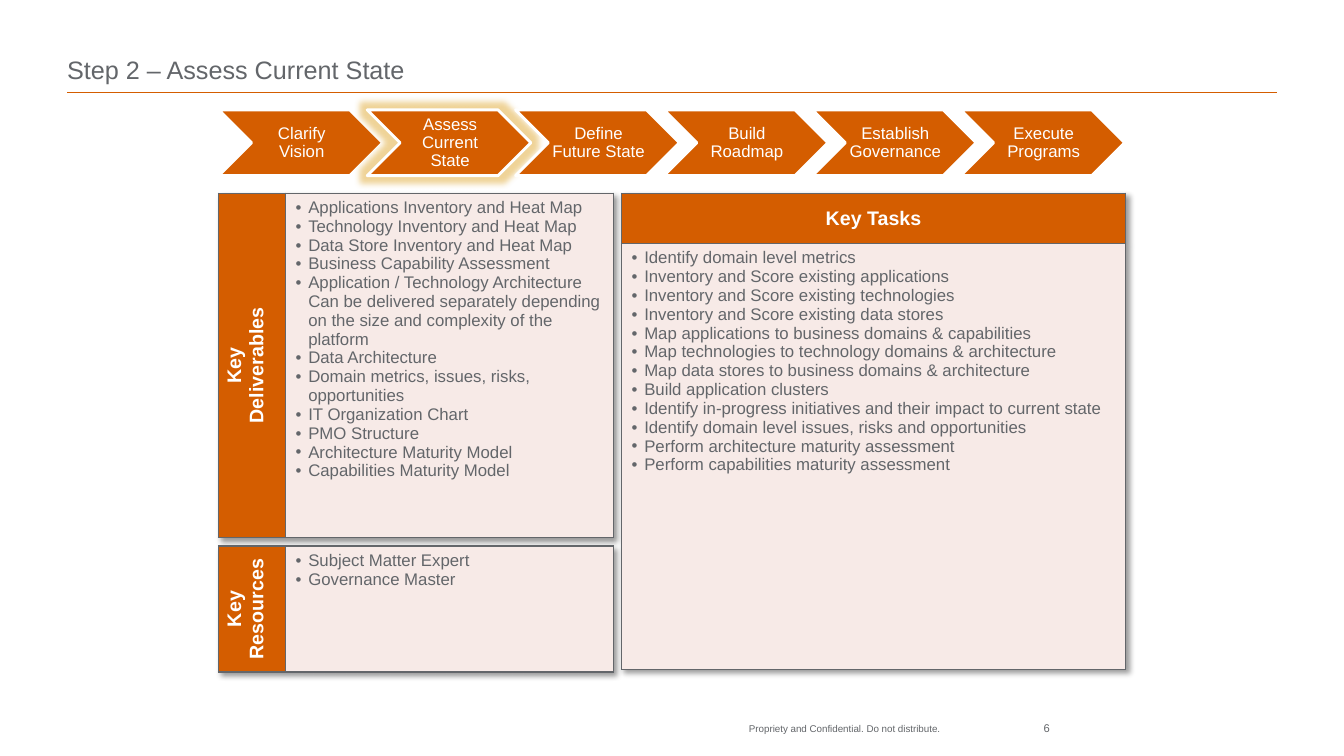
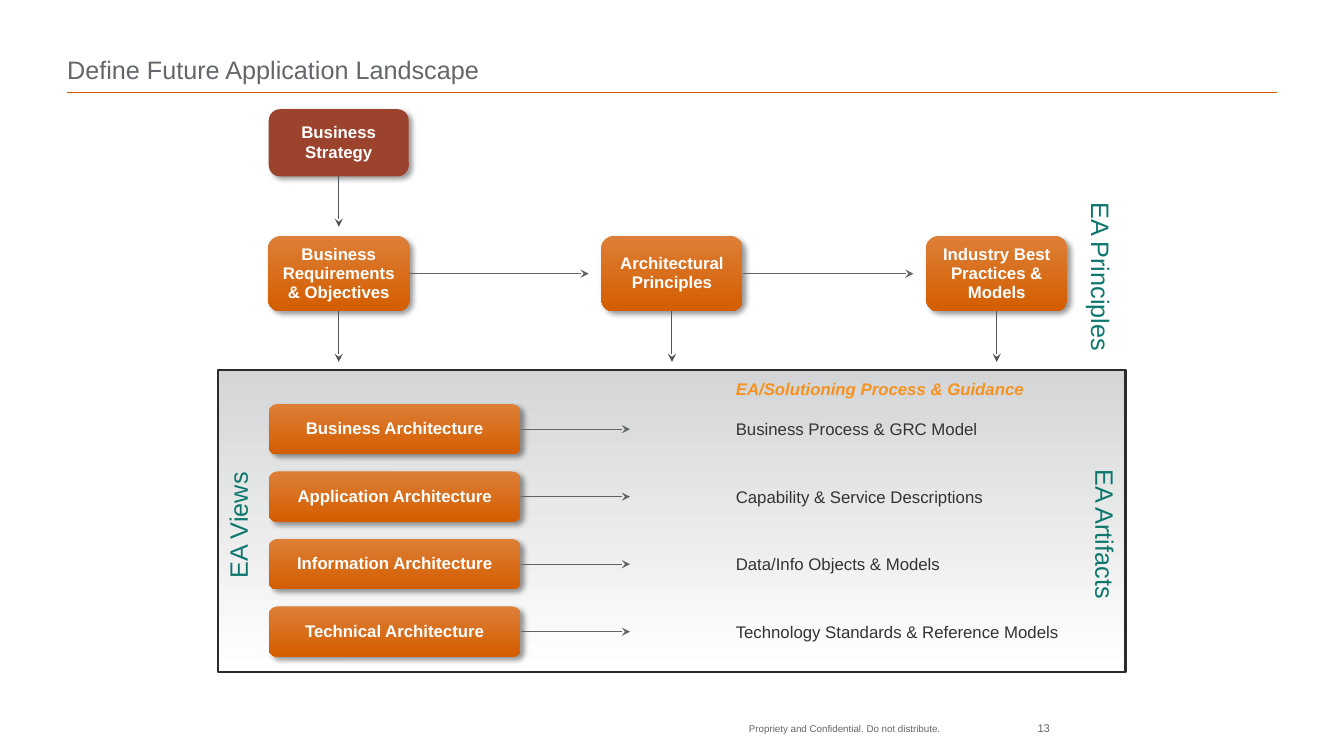
from collections import namedtuple

from lxml import etree
from pptx import Presentation
from pptx.dml.color import RGBColor
from pptx.enum.shapes import MSO_CONNECTOR, MSO_SHAPE
from pptx.enum.text import MSO_ANCHOR, MSO_AUTO_SIZE, PP_ALIGN
from pptx.oxml.ns import qn
from pptx.util import Pt

WHITE = RGBColor(0xFF, 0xFF, 0xFF)
BLACK = RGBColor(0x00, 0x00, 0x00)
ORANGE = RGBColor(0xD4, 0x5D, 0x00)
LIGHT_ORANGE = RGBColor(0xDD, 0x7F, 0x37)
AMBER = RGBColor(0xF6, 0x92, 0x1E)
GOLD = RGBColor(0xE0, 0xA8, 0x30)
RUST = RGBColor(0x9B, 0x43, 0x2D)
BLUSH = RGBColor(0xF7, 0xEA, 0xE7)
TEAL = RGBColor(0x0D, 0x77, 0x6E)
GRAY = RGBColor(0x63, 0x66, 0x6A)
PANEL_GRAY = RGBColor(0xD4, 0xD5, 0xD6)
ARROW_GRAY = RGBColor(0x61, 0x64, 0x68)
DARK_ARROW_GRAY = RGBColor(0x51, 0x54, 0x57)
INK = RGBColor(0x32, 0x33, 0x35)
PANEL_EDGE = RGBColor(0x2A, 0x2B, 0x2D)

FONT = "Arial"
ARROW_GAP = 9
Box = namedtuple("Box", "left top width height")

STEPS = ["Clarify Vision", "Assess Current State", "Define Future State",
         "Build Roadmap", "Establish Governance", "Execute Programs"]
DELIVERABLES = [
    "Applications Inventory and Heat Map",
    "Technology Inventory and Heat Map",
    "Data Store Inventory and Heat Map",
    "Business Capability Assessment",
    "Application / Technology Architecture\nCan be delivered separately "
    "depending on the size and complexity of the platform",
    "Data Architecture",
    "Domain metrics, issues, risks, opportunities",
    "IT Organization Chart",
    "PMO Structure",
    "Architecture Maturity Model",
    "Capabilities Maturity Model",
]
RESOURCES = ["Subject Matter Expert", "Governance Master"]
TASKS = [
    "Identify domain level metrics",
    "Inventory and Score existing applications",
    "Inventory and Score existing technologies",
    "Inventory and Score existing data stores",
    "Map applications to business domains & capabilities",
    "Map technologies to technology domains & architecture",
    "Map data stores to business domains & architecture",
    "Build application clusters",
    "Identify in-progress initiatives and their impact to current state",
    "Identify domain level issues, risks and opportunities",
    "Perform architecture maturity assessment",
    "Perform capabilities maturity assessment",
]
PRINCIPLES = [
    (191.5, "Business Requirements\n& Objectives"),
    (429.5, "Architectural Principles"),
    (661.5, "Industry Best Practices & Models"),
]
VIEWS = [
    ("Business Architecture", "Business Process & GRC Model"),
    ("Application Architecture", "Capability & Service Descriptions"),
    ("Information Architecture", "Data/Info Objects & Models"),
    ("Technical Architecture", "Technology Standards & Reference Models"),
]


def in_points(box):
    return [Pt(length) for length in box]


def add_child(parent, tag, **attributes):
    child = etree.SubElement(parent, qn(tag))
    for name, value in attributes.items():
        child.set(name, str(value))
    return child


def add_effect(effects, tag, color, alpha, **attributes):
    effect = add_child(effects, tag, **attributes)
    tint = add_child(effect, "a:srgbClr", val=color)
    add_child(tint, "a:alpha", val=alpha * 1000)


def add_drop_shadow(effects):
    add_effect(effects, "a:outerShdw", BLACK, 40, blurRad=Pt(4), dist=Pt(3),
               dir=45 * 60000, algn="tl", rotWithShape=0)


def write_text(frame, lines, size, color, align=PP_ALIGN.LEFT, bold=False,
               italic=False, bullet=False, spacing=None):
    """Fill a frame; fonts go on runs too, as some viewers skip paragraph fonts."""
    for index, line in enumerate(lines):
        para = frame.add_paragraph() if index else frame.paragraphs[0]
        para.text = line
        para.alignment = align
        if spacing:
            para.line_spacing = spacing
        if bullet:
            properties = para._p.get_or_add_pPr()
            properties.set("marL", str(Pt(9)))
            properties.set("indent", str(-Pt(9)))
            add_child(properties, "a:buFont", typeface=FONT)
            add_child(properties, "a:buChar", char="•")
        for span in (para, *para.runs):
            font = span.font
            font.name, font.size = FONT, Pt(size)
            font.bold, font.italic = bold, italic
            font.color.rgb = color


def set_margins(frame, left=0, top=0, right=0, bottom=0):
    frame.margin_left, frame.margin_top = Pt(left), Pt(top)
    frame.margin_right, frame.margin_bottom = Pt(right), Pt(bottom)


def add_label(page, box, text, size, color, vert=None, inset=True, **style):
    frame = page.shapes.add_textbox(*in_points(box)).text_frame
    frame.word_wrap = not inset
    if inset:
        frame.auto_size = MSO_AUTO_SIZE.SHAPE_TO_FIT_TEXT
    else:
        set_margins(frame)
    if vert:
        frame._txBody.bodyPr.set("vert", vert)
    write_text(frame, [text], size, color, **style)


def add_line(page, start, end, color, width, arrow=False):
    line = page.shapes.add_connector(MSO_CONNECTOR.STRAIGHT,
                                     *in_points(start + end))
    line.line.color.rgb = color
    line.line.width = Pt(width)
    if arrow:
        add_child(line.line._get_or_add_ln(), "a:tailEnd", type="stealth")
    add_child(line._element.spPr, "a:effectLst")


def add_plain_shape(page, kind, box):
    shape = page.shapes.add_shape(kind, *in_points(box))
    shape.shadow.inherit = False
    return shape


def fill_downward(shape, top_color, bottom_color):
    shape.fill.gradient()
    shape.fill.gradient_angle = 270
    for stop, color in zip(shape.fill.gradient_stops, (top_color, bottom_color)):
        stop.color.rgb = color


def start_page(deck, title, number):
    page = deck.slides.add_slide(deck.slide_layouts[5])
    heading = page.shapes.title
    heading.left, heading.top, heading.width, heading.height = in_points(
        Box(48, 12.5, 864, 48))
    frame = heading.text_frame
    frame.auto_size = MSO_AUTO_SIZE.NONE
    frame.vertical_anchor = MSO_ANCHOR.BOTTOM
    set_margins(frame)
    write_text(frame, [title], 18, GRAY)
    add_line(page, (48, 66), (912, 66), ORANGE, 1)
    add_label(page, Box(535, 516, 200, 18),
              "Propriety and Confidential. Do not distribute.", 7, GRAY,
              inset=False)
    add_label(page, Box(718, 515.5, 32, 12), number, 8, GRAY, inset=False,
              align=PP_ALIGN.RIGHT)
    return page


def add_step_chain(page, box, current):
    step_gap = 106
    width = box.width - step_gap * (len(STEPS) - 1)
    for index, step in enumerate(STEPS):
        chevron = add_plain_shape(page, MSO_SHAPE.CHEVRON, Box(
            box.left + index * step_gap, box.top, width, box.height))
        chevron.fill.solid()
        chevron.fill.fore_color.rgb = ORANGE
        chevron.line.color.rgb = WHITE
        chevron.line.width = Pt(2)
        if step == current:
            effects = chevron._element.spPr.find(qn("a:effectLst"))
            add_effect(effects, "a:glow", GOLD, 50, rad=Pt(9))
        frame = chevron.text_frame
        frame.word_wrap = True
        frame.vertical_anchor = MSO_ANCHOR.MIDDLE
        set_margins(frame, left=1.5)
        write_text(frame, [step], 12, WHITE, PP_ALIGN.CENTER, spacing=0.9)


def style_cell(cell, fill):
    properties = cell._tc.get_or_add_tcPr()
    for side in ("a:lnL", "a:lnR", "a:lnT", "a:lnB"):
        border = add_child(properties, side, w=Pt(1))
        add_child(add_child(border, "a:solidFill"), "a:srgbClr", val=GRAY)
    cell.fill.solid()
    cell.fill.fore_color.rgb = fill


def add_list_table(page, box, heading, items, heading_size, sideways=False):
    """Table of a heading cell and a bulleted cell, beside or below it."""
    rows, columns = (1, 2) if sideways else (2, 1)
    table = page.shapes.add_table(rows, columns, *in_points(box)).table
    table.first_row = table.horz_banding = False
    effects = etree.Element(qn("a:effectLst"))
    add_drop_shadow(effects)
    table._tbl.tblPr.insert(0, effects)
    if sideways:
        table.columns[0].width = Pt(heading_size)
        table.columns[1].width = Pt(box.width - heading_size)
    else:
        table.rows[0].height = Pt(heading_size)
        table.rows[1].height = Pt(box.height - heading_size)
    head, body = table.iter_cells()
    style_cell(head, ORANGE)
    style_cell(body, BLUSH)
    head.vertical_anchor = MSO_ANCHOR.MIDDLE
    if sideways:
        head._tc.tcPr.set("vert", "vert270")
    write_text(head.text_frame, heading, 14, WHITE, PP_ALIGN.CENTER, bold=True)
    write_text(body.text_frame, items, 12, GRAY, bullet=True)


def add_block(page, box, text, fill=None):
    """Rounded block with a shadow, in a solid fill or the orange gradient."""
    block = add_plain_shape(page, MSO_SHAPE.ROUNDED_RECTANGLE, box)
    if fill:
        block.fill.solid()
        block.fill.fore_color.rgb = fill
    else:
        fill_downward(block, LIGHT_ORANGE, ORANGE)
    block.line.fill.background()
    add_drop_shadow(block._element.spPr.find(qn("a:effectLst")))
    frame = block.text_frame
    frame.word_wrap = True
    frame.vertical_anchor = MSO_ANCHOR.MIDDLE
    set_margins(frame)
    write_text(frame, text.split("\n"), 12, WHITE, PP_ALIGN.CENTER, bold=True,
               spacing=0.95)


def add_principles(page, box):
    middle, bottom = box.top + box.height / 2, box.top + box.height
    width = 101
    for index, (left, text) in enumerate(PRINCIPLES):
        add_block(page, Box(left, box.top, width, box.height), text)
        center = left + width / 2
        add_line(page, (center, bottom), (center, bottom + 36),
                 DARK_ARROW_GRAY, 0.75, arrow=True)
        if index:
            previous = PRINCIPLES[index - 1][0] + width
            add_line(page, (previous, middle), (left - ARROW_GAP, middle),
                     ARROW_GRAY, 0.75, arrow=True)


def add_views_panel(page, box):
    panel = add_plain_shape(page, MSO_SHAPE.RECTANGLE, box)
    fill_downward(panel, PANEL_GRAY, WHITE)
    panel.line.color.rgb = PANEL_EDGE
    panel.line.width = Pt(1.5)
    block_left, label_left = box.left + 36, box.left + 362.5
    block_right = block_left + 180
    add_label(page, Box(label_left, box.top + 2.8, 223, 21.6),
              "EA/Solutioning Process & Guidance", 12, AMBER, bold=True,
              italic=True)
    for index, (view, artifact) in enumerate(VIEWS):
        top = box.top + 24.4 + index * 48.2
        add_block(page, Box(block_left, top, 180, 36), view)
        add_line(page, (block_right, top + 18), (block_right + 78, top + 18),
                 ARROW_GRAY, 0.75, arrow=True)
        add_label(page, Box(label_left, top + 7.2, 247, 21.6), artifact, 12, INK)
    add_label(page, Box(box.left - 0.5, box.top + 72, 36, 84), "EA Views", 18,
              TEAL, vert="vert270")
    add_label(page, Box(box.left + box.width - 36, box.top + 64.4, 36, 100),
              "EA Artifacts", 18, TEAL, vert="vert")


def build_step_page(deck):
    page = start_page(deck, "Step 2 – Assess Current State", "6")
    add_step_chain(page, Box(156.3, 78.5, 647, 47), "Assess Current State")
    add_list_table(page, Box(156, 138, 282, 246), ["Key", "Deliverables"],
                   DELIVERABLES, 48, sideways=True)
    add_list_table(page, Box(156, 390, 282, 90), ["Key", "Resources"],
                   RESOURCES, 48, sideways=True)
    add_list_table(page, Box(444, 138, 360, 340), ["Key Tasks"], TASKS, 36)


def build_landscape_page(deck):
    page = start_page(deck, "Define Future Application Landscape", "13")
    add_block(page, Box(192, 78, 100, 48), "Business Strategy", RUST)
    add_line(page, (242, 126), (242, 162), DARK_ARROW_GRAY, 0.75, arrow=True)
    add_principles(page, Box(191.5, 168.5, 571, 54))
    add_label(page, Box(765, 137.5, 36, 114.5), "EA Principles", 18, TEAL,
              vert="vert")
    add_views_panel(page, Box(156, 264.2, 648, 216))


def main():
    deck = Presentation()
    deck.slide_width, deck.slide_height = Pt(960), Pt(540)
    build_step_page(deck)
    build_landscape_page(deck)
    deck.save("out.pptx")


if __name__ == "__main__":
    main()
